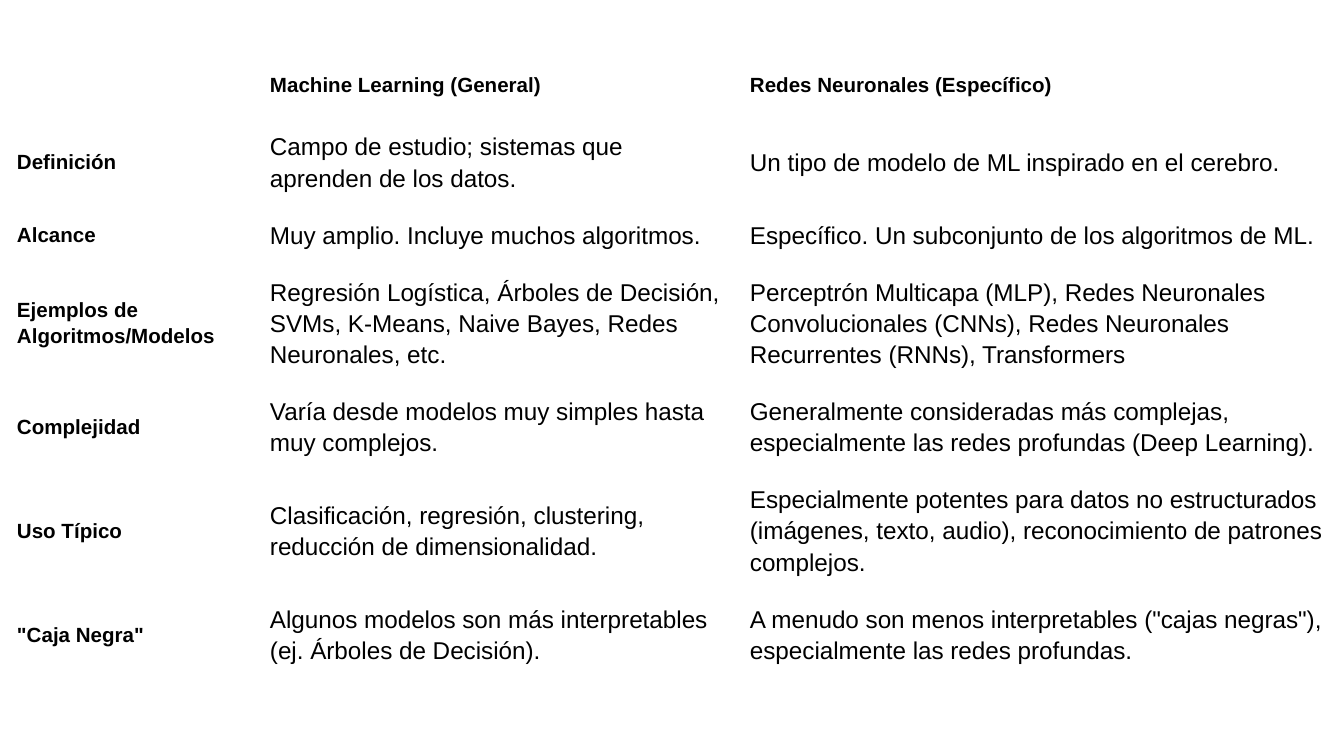
import pptx
import pptx.dml.color
import pptx.enum.text
import pptx.util

PX = 914400 / 134.4  # EMU in one px


def px(length):
    return pptx.util.Emu(round(length * PX))


def color(code):
    return pptx.dml.color.RGBColor.from_string(code)


class Page:
    font = "Arial"
    ink = "000000"
    label_size = 11
    body_size = 13
    line_spacing = 1.15
    margin = 13

    def __init__(self, deck):
        self.slide = deck.slides.add_slide(deck.slide_layouts[6])

    def cell(self, cell, text, label):
        cell.fill.background()
        if not text:
            return
        cell.vertical_anchor = pptx.enum.text.MSO_ANCHOR.MIDDLE
        cell.margin_left = cell.margin_right = px(self.margin)
        cell.margin_top = cell.margin_bottom = px(self.margin)
        cell.text = text
        para = cell.text_frame.paragraphs[0]
        para.line_spacing = self.line_spacing
        para.font.name = self.font
        para.font.size = pptx.util.Pt(self.label_size if label else self.body_size)
        para.font.bold = label
        para.font.color.rgb = color(self.ink)

    def table(self, left, top, widths, heights, rows):
        frame = self.slide.shapes.add_table(
            len(rows), len(widths), px(left), px(top), px(sum(widths)), px(sum(heights)))
        table = frame.table
        table.first_row = table.horz_banding = False
        for column, width in zip(table.columns, widths):
            column.width = px(width)
        for row, height in zip(table.rows, heights):
            row.height = px(height)
        # The first row and the first column hold bold labels
        for i, texts in enumerate(rows):
            for j, text in enumerate(texts):
                self.cell(table.cell(i, j), text, i == 0 or j == 0)


ROWS = [
    ("", "Machine Learning (General)", "Redes Neuronales (Específico)"),
    ("Definición",
     "Campo de estudio; sistemas que aprenden de los datos.",
     "Un tipo de modelo de ML inspirado en el cerebro."),
    ("Alcance",
     "Muy amplio. Incluye muchos algoritmos.",
     "Específico. Un subconjunto de los algoritmos de ML."),
    ("Ejemplos de Algoritmos/Modelos",
     "Regresión Logística, Árboles de Decisión, SVMs, K-Means, Naive Bayes, "
     "Redes Neuronales, etc.",
     "Perceptrón Multicapa (MLP), Redes Neuronales Convolucionales (CNNs), "
     "Redes Neuronales Recurrentes (RNNs), Transformers"),
    ("Complejidad",
     "Varía desde modelos muy simples hasta muy complejos.",
     "Generalmente consideradas más complejas, especialmente las redes "
     "profundas (Deep Learning)."),
    ("Uso Típico",
     "Clasificación, regresión, clustering, reducción de dimensionalidad.",
     "Especialmente potentes para datos no estructurados (imágenes, texto, "
     "audio), reconocimiento de patrones complejos."),
    ('"Caja Negra"',
     "Algunos modelos son más interpretables (ej. Árboles de Decisión).",
     'A menudo son menos interpretables ("cajas negras"), especialmente las '
     "redes profundas."),
]


def main():
    deck = pptx.Presentation()
    deck.slide_width, deck.slide_height = px(1344), px(756)
    page = Page(deck)

    # Comparison table: body rows grow to fit their text
    page.table(4, 51, [253, 480, 603], [66, 55, 28] + [55] * 4, ROWS)

    deck.save("out.pptx")


if __name__ == "__main__":
    main()
